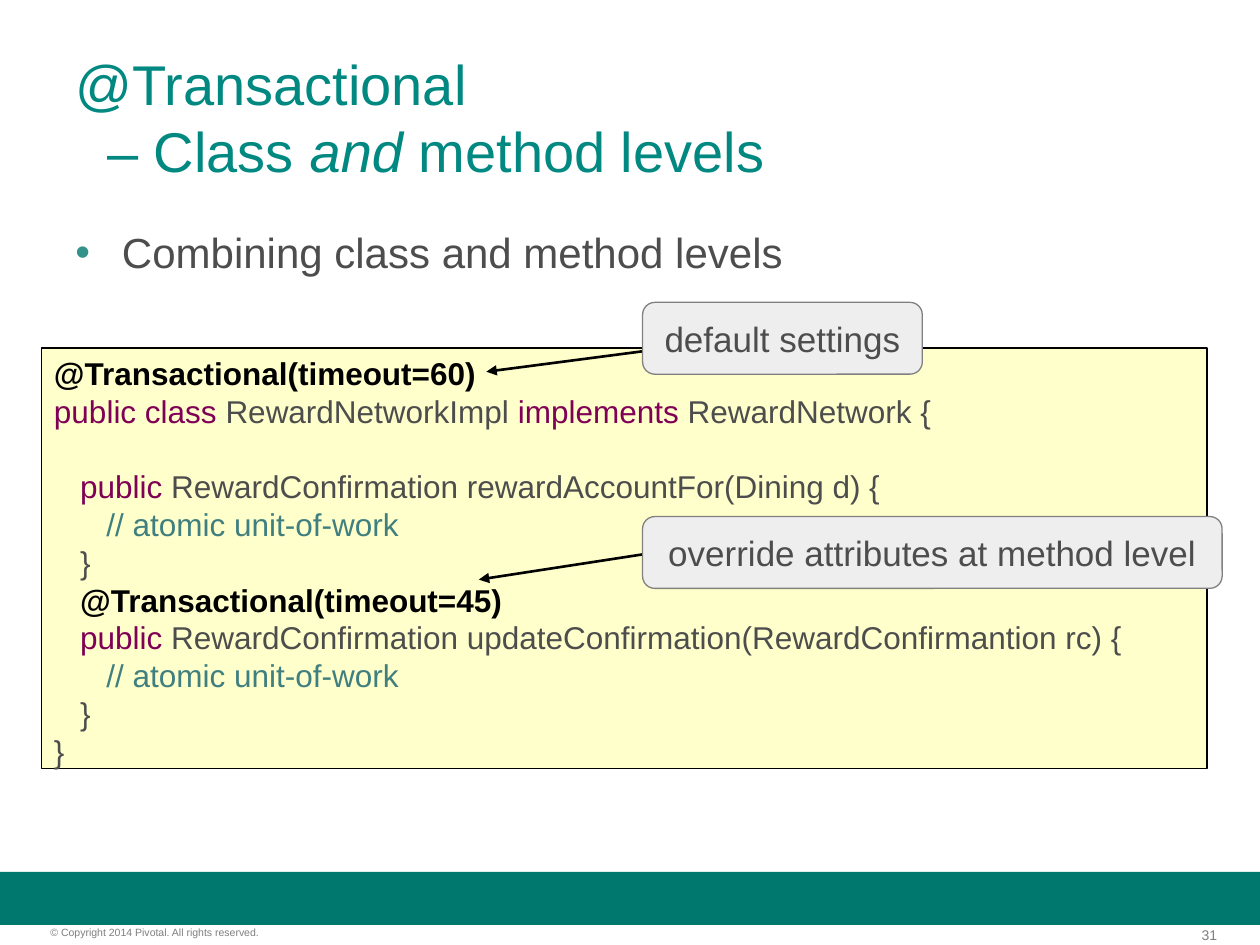
"""Build the slide on combining class and method level @Transactional."""
from lxml import etree
from pptx import Presentation
from pptx.dml.color import RGBColor
from pptx.enum.shapes import MSO_CONNECTOR, MSO_SHAPE
from pptx.enum.text import MSO_ANCHOR, MSO_AUTO_SIZE, PP_ALIGN
from pptx.oxml.ns import qn
from pptx.util import Inches, Pt

RECTANGLE, ROUNDED = MSO_SHAPE.RECTANGLE, MSO_SHAPE.ROUNDED_RECTANGLE
STRAIGHT = MSO_CONNECTOR.STRAIGHT
TOP, MIDDLE = MSO_ANCHOR.TOP, MSO_ANCHOR.MIDDLE
LEFT, CENTER, RIGHT = PP_ALIGN.LEFT, PP_ALIGN.CENTER, PP_ALIGN.RIGHT
BLACK, GRAY, KEYWORD, COMMENT = "000000", "4D4D4D", "7F0055", "3F7F7F"


def color(value):
    """Turn a hex string into a colour."""
    return RGBColor.from_string(value)


def style(paragraph, size, value, alignment=LEFT):
    """Set the font and alignment of a paragraph."""
    paragraph.alignment = alignment
    paragraph.font.name = "Arial"
    paragraph.font.size = Pt(size)
    paragraph.font.color.rgb = color(value)


presentation = Presentation()
presentation.slide_width, presentation.slide_height = Inches(10), Inches(7.5)
slide = presentation.slides.add_slide(presentation.slide_layouts[5])
shapes = slide.shapes

band = shapes.add_shape(RECTANGLE, Inches(0), Inches(6.92), Inches(10), Inches(0.42))
band.shadow.inherit = False
band.fill.solid()
band.fill.fore_color.rgb = color("00786E")
band.line.fill.background()

for text, left, width, height, size, alignment in [
    ("31", 9.31, 0.35, 0.13, 8, RIGHT),
    ("© Copyright 2014 Pivotal. All rights reserved.", 0.4, 2.49, 0.1, 6, LEFT),
]:
    footer = shapes.add_textbox(Inches(left), Inches(7.35), Inches(width), Inches(height))
    frame = footer.text_frame
    frame.word_wrap = True
    frame.margin_left = frame.margin_right = frame.margin_top = frame.margin_bottom = 0
    frame.text = text
    style(frame.paragraphs[0], size, "7F7F7F", alignment)

title = shapes.title
title.left, title.top, title.width, title.height = Inches(0.5), Inches(0.3), Inches(9), Inches(1.25)
title.text_frame.auto_size = MSO_AUTO_SIZE.NONE
title.text_frame.vertical_anchor = MIDDLE
title.text_frame.text = "@Transactional\n– Class "
subtitle = title.text_frame.paragraphs[1]
emphasis = subtitle.add_run()
emphasis.text = "and"
emphasis.font.italic = True
subtitle.add_run().text = " method levels"
subtitle._p.get_or_add_pPr().set("marL", str(Inches(0.25)))
for paragraph in title.text_frame.paragraphs:
    style(paragraph, 32, "008881")

body = shapes.add_textbox(Inches(0.5), Inches(1.75), Inches(9), Inches(0.6))
body.text_frame.word_wrap = True
body.text_frame.text = "Combining class and method levels"
paragraph = body.text_frame.paragraphs[0]
properties = paragraph._p.get_or_add_pPr()
properties.set("marL", str(Inches(0.37)))
properties.set("indent", str(-Inches(0.37)))
bullet_color = etree.SubElement(properties, qn("a:buClr"))
etree.SubElement(bullet_color, qn("a:srgbClr"), val="33928A")
etree.SubElement(properties, qn("a:buFont"), typeface="Arial")
etree.SubElement(properties, qn("a:buChar"), char="•")
style(paragraph, 24, GRAY)

code_lines = [
    [("@Transactional(timeout=60)", BLACK)],
    [("public class", KEYWORD), (" RewardNetworkImpl ", GRAY),
     ("implements", KEYWORD), (" RewardNetwork {", GRAY)],
    [("   ", GRAY)],
    [("   public", KEYWORD), (" RewardConfirmation rewardAccountFor(Dining d) {", GRAY)],
    [("      // atomic unit-of-work", COMMENT)],
    [("   }", GRAY)],
    [("   @Transactional(timeout=45)", BLACK)],
    [("   public", KEYWORD),
     (" RewardConfirmation updateConfirmation(RewardConfirmantion rc) {", GRAY)],
    [("      // atomic unit-of-work", COMMENT)],
    [("   }", GRAY)],
    [("}", GRAY)],
]
code_box = shapes.add_shape(RECTANGLE, Inches(0.33), Inches(2.76), Inches(9.25), Inches(3.34))
code_box.shadow.inherit = False
code_box.fill.solid()
code_box.fill.fore_color.rgb = color("FFFFCC")
code_box.line.color.rgb = color(BLACK)
code_box.line.width = Pt(1)
frame = code_box.text_frame
frame.word_wrap = True
frame.vertical_anchor = TOP
for index, pieces in enumerate(code_lines):
    paragraph = frame.add_paragraph() if index else frame.paragraphs[0]
    style(paragraph, 18, GRAY)
    for text, value in pieces:
        run = paragraph.add_run()
        run.text = text
        run.font.color.rgb = color(value)
        run.font.bold = value == BLACK

for start_x, start_y, end_x, end_y in [(6.54, 2.6, 3.86, 2.95), (5.1, 4.4, 3.8, 4.6)]:
    arrow = shapes.add_connector(
        STRAIGHT, Inches(start_x), Inches(start_y), Inches(end_x), Inches(end_y))
    arrow.line.color.rgb = color(BLACK)
    arrow.line.width = Pt(1.5)
    etree.SubElement(arrow.line._get_or_add_ln(), qn("a:tailEnd"), type="triangle")
    etree.SubElement(arrow._element.spPr, qn("a:effectLst"))

for text, top, width in [
    ("default settings", 2.4, 2.22),
    ("override attributes at method level", 4.1, 4.6),
]:
    callout = shapes.add_shape(ROUNDED, Inches(5.1), Inches(top), Inches(width), Inches(0.57))
    callout.shadow.inherit = False
    callout.adjustments[0] = 0.17
    callout.fill.solid()
    callout.fill.fore_color.rgb = color("EEEEEE")
    callout.line.color.rgb = color("808080")
    callout.line.width = Pt(0)
    callout.text_frame.word_wrap = False
    callout.text_frame.vertical_anchor = MIDDLE
    callout.text_frame.text = text
    style(callout.text_frame.paragraphs[0], 20, GRAY, CENTER)

presentation.save("out.pptx")
